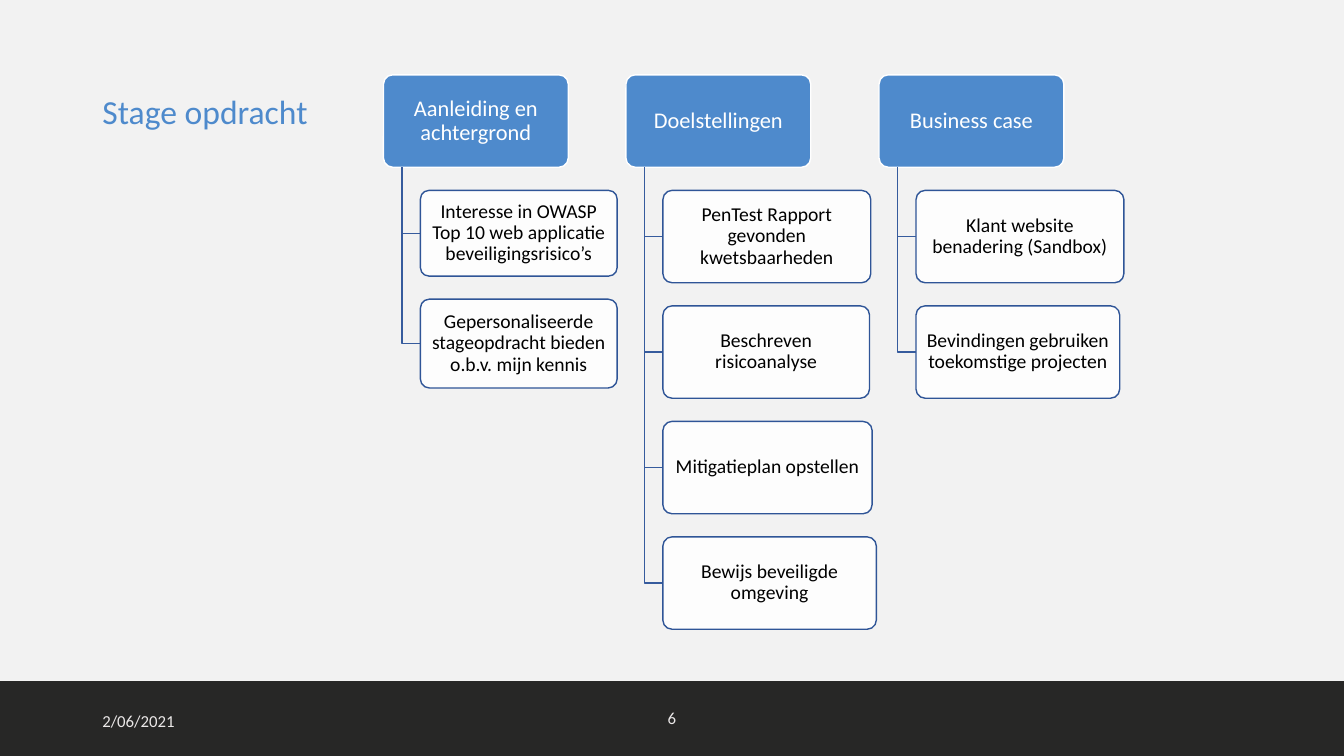
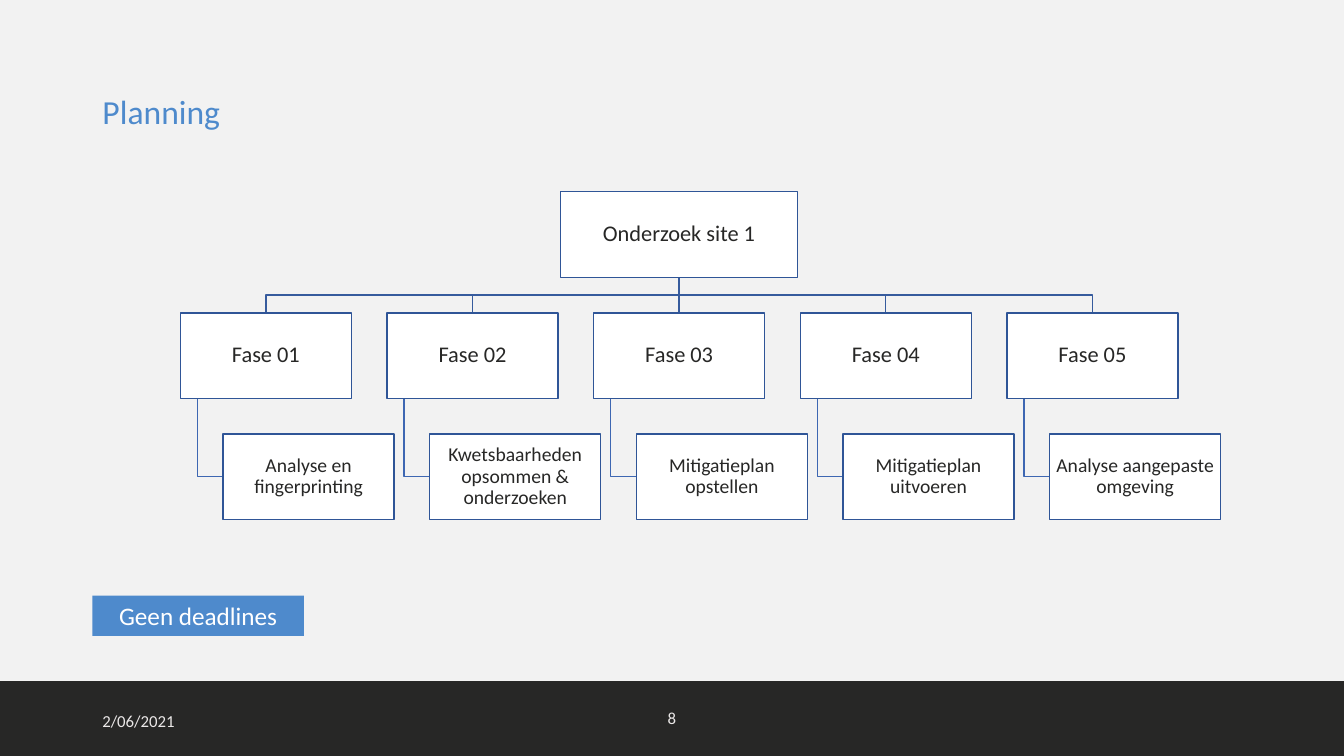
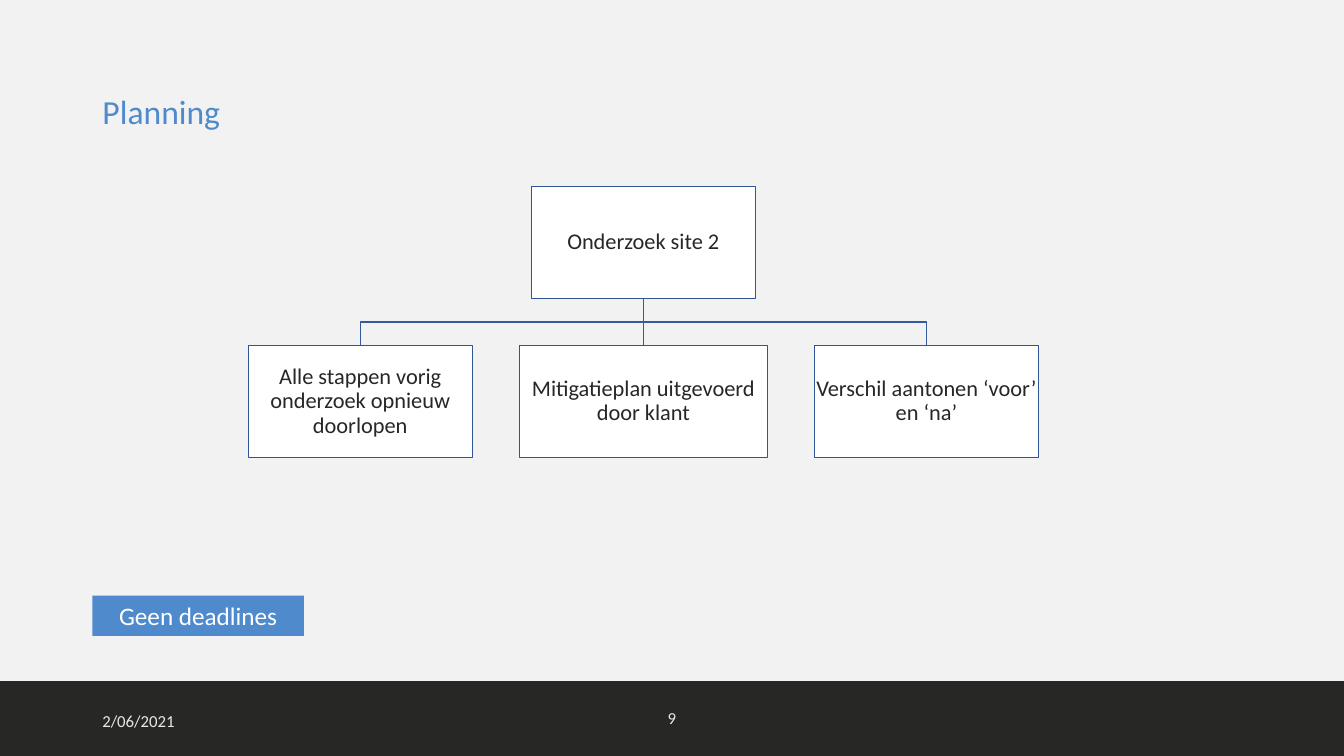
from itertools import accumulate
from lxml import etree
from pptx import Presentation
from pptx.dml.color import RGBColor
from pptx.enum.shapes import MSO_CONNECTOR as CONN, MSO_SHAPE as SHAPE
from pptx.enum.text import MSO_ANCHOR as ANCHOR, PP_ALIGN as ALIGN
from pptx.oxml.ns import qn
from pptx.util import Pt

# Content
DATE = "2/06/2021"
NOTICE = "Geen deadlines"
# Each column: left edge, heading, cards as (text, width, height)
ASSIGNMENT = [
    (273.9, "Aanleiding en achtergrond", [
        ("Interesse in OWASP Top 10 web applicatie beveiligingsrisico’s", 140.5, 61.2),
        ("Gepersonaliseerde stageopdracht bieden o.b.v. mijn kennis", 140.5, 63.4)]),
    (447.1, "Doelstellingen", [
        ("PenTest Rapport gevonden kwetsbaarheden", 148.5, 66),
        ("Beschreven risicoanalyse", 147.6, 66),
        ("Mitigatieplan opstellen", 149.5, 66),
        ("Bewijs beveiligde omgeving", 152.5, 66)]),
    (627.9, "Business case", [
        ("Klant website benadering (Sandbox)", 148.5, 66),
        ("Bevindingen gebruiken toekomstige projecten", 145.5, 66)]),
]
# Each branch: text, width, leaf text or None
SITE_1 = [
    ("Fase 01", 122.2, "Analyse en fingerprinting"),
    ("Fase 02", 122.2, "Kwetsbaarheden opsommen & onderzoeken"),
    ("Fase 03", 122.2, "Mitigatieplan opstellen"),
    ("Fase 04", 122.2, "Mitigatieplan uitvoeren"),
    ("Fase 05", 122.2, "Analyse aangepaste omgeving"),
]
SITE_2 = [
    ("Alle stappen vorig onderzoek opnieuw doorlopen", 160, None),
    ("Mitigatieplan uitgevoerd door klant", 177, None),
    ("Verschil aantonen ‘voor’ en ‘na’", 160, None),
]

# Shared style
FONT = "Calibri"
COLORS = {
    "page": "F2F2F2", "dark": "272726", "accent": "4E8ACC", "white": "FFFFFF",
    "black": "000000", "footer": "EBE8E8", "border": "2F5597",
    "link": "365B9D", "leaf_link": "3E67B2",
}
WIDTH, HEIGHT = 960, 540
BAND_TOP = 486.5
MARGIN = 66
HEAD_TOP, HEAD_W, HEAD_H = 53.5, 132, 66
CARD_GAP, CARD_INDENT = 16.5, 26.4


def rgb(name):
    """Return a named colour."""
    return RGBColor.from_string(COLORS[name])


def write(sp, text, size, color, align=ALIGN.CENTER, spacing=None, insets=None):
    """Put one formatted paragraph in a shape."""
    tf = sp.text_frame
    tf.word_wrap = True
    tf.vertical_anchor = ANCHOR.MIDDLE
    if insets:
        tf.margin_left = tf.margin_right = Pt(insets[0])
        tf.margin_top = tf.margin_bottom = Pt(insets[1])
    tf.text = text
    p = tf.paragraphs[0]
    p.alignment = align
    p.line_spacing = spacing
    font = p.runs[0].font
    font.name, font.size, font.bold = FONT, Pt(size), False
    font.color.rgb = rgb(color)


def add_box(s, kind, box, fill, border=None):
    """Add a flat preset shape at (left, top, width, height)."""
    sp = s.shapes.add_shape(kind, *map(Pt, box))
    sp.shadow.inherit = False
    sp.fill.solid()
    sp.fill.fore_color.rgb = rgb(fill)
    if border:
        sp.line.color.rgb = rgb(border)
        sp.line.width = Pt(1)
    else:
        sp.line.fill.background()
    return sp


def add_card(s, box, text, size, color, fill, border, opacity=100):
    """Add a rounded card with centred text."""
    sp = add_box(s, SHAPE.ROUNDED_RECTANGLE, box, fill, border)
    sp.adjustments[0] = 0.1
    if opacity < 100:
        clr = sp.fill._xPr.find(qn("a:solidFill"))[0]
        etree.SubElement(clr, qn("a:alpha")).set("val", str(opacity * 1000))
    write(sp, text, size, color, spacing=0.9, insets=(2.2, 1.4))


def add_node(s, box, text, size=16):
    """Add a white rectangle of a tree."""
    sp = add_box(s, SHAPE.RECTANGLE, box, "white", "border")
    write(sp, text, size, "dark", spacing=0.9, insets=(0.8, 0.8))


def add_link(s, points, color="link"):
    """Draw a straight or bent line through the points."""
    pts = [(Pt(x), Pt(y)) for x, y in points]
    if len(pts) == 2:
        sp = s.shapes.add_connector(CONN.STRAIGHT, *pts[0], *pts[1])
        etree.SubElement(sp._element.spPr, qn("a:effectLst"))
    else:
        builder = s.shapes.build_freeform(*pts[0])
        builder.add_line_segments(pts[1:], close=False)
        sp = builder.convert_to_shape()
        sp.fill.background()
        sp.shadow.inherit = False
    sp.line.color.rgb = rgb(color)
    sp.line.width = Pt(1)


def add_label(s, box, text, align):
    """Add a footer text."""
    write(s.shapes.add_textbox(*map(Pt, box)), text, 12, "footer", align)


def add_slide(prs, title, number):
    """Add a slide with its title and footer."""
    s = prs.slides.add_slide(prs.slide_layouts[5])
    write(s.shapes.title, title, 24, "accent", ALIGN.LEFT, 0.9)
    add_label(s, (MARGIN, 500.4, 216, 28.8), DATE, ALIGN.LEFT)
    add_label(s, (460, 498.4, 40, 28.8), str(number), ALIGN.CENTER)
    return s


def style_layout(prs):
    """Set the shared background, title place and bottom band."""
    layout = prs.slide_layouts[5]
    fill = prs.slide_master.background.fill
    fill.solid()
    fill.fore_color.rgb = rgb("page")
    title = layout.placeholders[0]
    title.left, title.top, title.width, title.height = map(Pt, (MARGIN, 29, 828, 104))


def move_band_to_layout(s):
    """Draw the bottom band once and hand it to the layout."""
    band = add_box(s, SHAPE.RECTANGLE, (0, BAND_TOP, WIDTH, HEIGHT - BAND_TOP), "dark")
    s.slide_layout.shapes._spTree.insert(2, band._element)


def add_column(s, left, heading, cards):
    """Draw a heading with cards hanging below it."""
    add_card(s, (left, HEAD_TOP, HEAD_W, HEAD_H), heading, 16, "white", "accent", "white")
    stem, bottom = left + HEAD_W / 10, HEAD_TOP + HEAD_H
    card_left, top = left + CARD_INDENT, bottom + CARD_GAP
    for text, w, h in cards:
        mid = top + h / 2
        add_link(s, [(stem, bottom), (stem, mid), (card_left, mid)])
        add_card(s, (card_left, top, w, h), text, 14, "black", "white", "border", 90)
        top += h + CARD_GAP


def add_tree(s, root, cx, top, root_w, h, gap, branches):
    """Draw a root, a centred row of branches and their leaves."""
    widths = [w for _, w, _ in branches]
    total = sum(widths) + gap * (len(widths) - 1)
    lefts = accumulate((w + gap for w in widths[:-1]), initial=cx - total / 2)
    placed = list(zip(lefts, branches))
    bottom, row = top + h, top + h + gap
    leaf_top = row + h + gap
    bus, leaf_mid = bottom + gap / 2, leaf_top + h / 2

    for left, (_, w, leaf) in placed:
        x = left + w / 2
        straight = abs(x - cx) < 0.1
        bend = [] if straight else [(cx, bus), (x, bus)]
        add_link(s, [(cx, bottom), *bend, (x, row)])
        if leaf:
            stem = left + w / 10
            add_link(s, [(stem, row + h), (stem, leaf_mid), (left + w / 4, leaf_mid)],
                     "leaf_link")
    add_node(s, (cx - root_w / 2, top, root_w, h), root)
    for left, (text, w, leaf) in placed:
        add_node(s, (left, row, w, h), text)
        if leaf:
            add_node(s, (left + w / 4, leaf_top, w, h), leaf, 14)


def add_notice(s):
    """Add the deadline notice above the band."""
    sp = add_box(s, SHAPE.RECTANGLE, (MARGIN, 425.5, 151.2, 28.8), "accent")
    write(sp, NOTICE, 18, "white")


prs = Presentation()
prs.slide_width, prs.slide_height = Pt(WIDTH), Pt(HEIGHT)
style_layout(prs)

s = add_slide(prs, "Stage opdracht", 6)
move_band_to_layout(s)
for column in ASSIGNMENT:
    add_column(s, *column)

s = add_slide(prs, "Planning", 8)
add_tree(s, "Onderzoek site 1", 485.1, 137, 169.4, 61.1, 25.4, SITE_1)
add_notice(s)

s = add_slide(prs, "Planning", 9)
add_tree(s, "Onderzoek site 2", 459.6, 133.2, 160, 80, 33.7, SITE_2)
add_notice(s)

prs.save("out.pptx")
